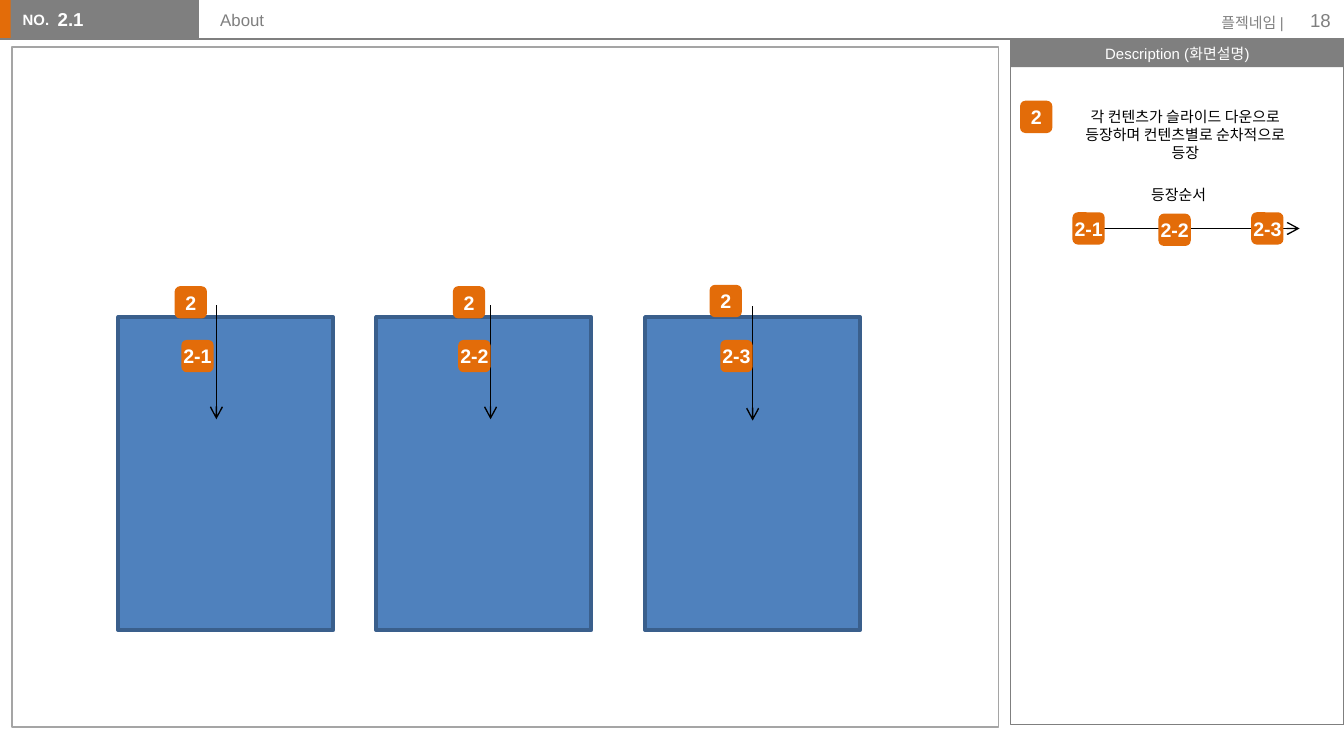
"""Build the storyboard slide for the About screen with its description panel."""
from lxml import etree
from pptx import Presentation
from pptx.dml.color import RGBColor
from pptx.enum.shapes import MSO_CONNECTOR as Connector, MSO_SHAPE as Shape
from pptx.enum.text import MSO_ANCHOR as Anchor, PP_ALIGN as Align
from pptx.oxml.ns import qn
from pptx.util import Inches, Pt

COLORS = {
    "orange": "E36C09", "gray": "7F7F7F", "frame": "A5A5A5", "card": "4F81BD",
    "card_edge": "3A5F8C", "white": "FFFFFF", "black": "000000",
}
FONT = "Arial"
SLIDE_WIDTH = 10
SLIDE_HEIGHT = SLIDE_WIDTH * 9 / 16
BADGE_SIZE = 0.24
CARD_TOP, CARD_WIDTH, CARD_HEIGHT = 2.36, 1.6, 2.33
ARROW_LENGTH = 0.85

HEADER_TEXTS = [
    ("NO.", (0.07, 0.03, 0.41, 0.24), 8, "white", True, Align.LEFT, Anchor.TOP, 0.1),
    ("플젝네임 |", (8.93, 0.05, 0.72, 0.24), 8, "gray", False, Align.RIGHT, Anchor.TOP, 0.1),
    ("18", (9.4, 0, 0.6, 0.3), 10, "gray", False, Align.RIGHT, Anchor.MIDDLE, 0.1),
    ("About", (1.54, 0.02, 5.61, 0.32), 9, "gray", False, Align.LEFT, Anchor.TOP, 0.1),
    ("2.1", (0.43, 0.01, 1.1, 0.31), 10, "white", True, Align.LEFT, Anchor.TOP, 0),
]
DESCRIPTION_TEXTS = [
    ("각 컨텐츠가 슬라이드 다운으로 등장하며 컨텐츠별로 순차적으로 등장", (7.88, 0.75, 1.88, 0.5)),
    ("등장순서", (7.83, 1.33, 1.88, 0.24)),
]
CARD_LEFTS = [0.88, 2.8, 4.8]
ARROW_STARTS = [(1.61, 2.27), (5.6, 2.28), (3.65, 2.27)]
BADGES = [
    ("2", 1.3, 2.13), ("2", 3.37, 2.13), ("2", 5.28, 2.12),
    ("2-1", 1.35, 2.53), ("2-2", 3.41, 2.53), ("2-3", 5.36, 2.53),
    ("2", 7.59, 0.75),
    ("2-1", 7.98, 1.58), ("2-2", 8.62, 1.59), ("2-3", 9.31, 1.58),
]


def rgb(name):
    return RGBColor.from_string(COLORS[name])


def write(shape, text, size, color, bold=False, align=Align.CENTER, anchor=Anchor.MIDDLE, inset=0.1):
    frame = shape.text_frame
    frame.word_wrap = True
    frame.vertical_anchor = anchor
    frame.margin_left = frame.margin_right = Inches(inset)
    frame.margin_top = frame.margin_bottom = Inches(0.05)
    paragraph = frame.paragraphs[0]
    paragraph.text = text
    paragraph.alignment = align
    font = paragraph.font
    font.name, font.size, font.bold = FONT, Pt(size), bold
    font.color.rgb = rgb(color)


def add_text(slide, text, box, *style):
    write(slide.shapes.add_textbox(*map(Inches, box)), text, *style)


def add_box(slide, box, fill=None, line=None, width=0.75, kind=Shape.RECTANGLE, opacity=100):
    shape = slide.shapes.add_shape(kind, *map(Inches, box))
    shape.shadow.inherit = False
    if fill:
        shape.fill.solid()
        shape.fill.fore_color.rgb = rgb(fill)
        if opacity < 100:
            color = shape._element.spPr.find(qn("a:solidFill"))[0]
            etree.SubElement(color, qn("a:alpha"), val=str(opacity * 1000))
    else:
        shape.fill.background()
    if line:
        shape.line.color.rgb = rgb(line)
        shape.line.width = Pt(width)
    else:
        shape.line.fill.background()
    return shape


def add_line(slide, start, end, color, arrow=False):
    connector = slide.shapes.add_connector(Connector.STRAIGHT, *map(Inches, start + end))
    connector.line.color.rgb = rgb(color)
    connector.line.width = Pt(0.75)
    properties = connector._element.spPr
    if arrow:
        etree.SubElement(properties.find(qn("a:ln")), qn("a:tailEnd"), type="arrow")
    etree.SubElement(properties, qn("a:effectLst"))


def add_badge(slide, text, left, top):
    badge = add_box(slide, (left, top, BADGE_SIZE, BADGE_SIZE), "orange", kind=Shape.ROUNDED_RECTANGLE)
    write(badge, text, 10.5, "white", True, inset=0)
    badge.text_frame.word_wrap = False


def main():
    presentation = Presentation()
    presentation.slide_width = Inches(SLIDE_WIDTH)
    presentation.slide_height = Inches(SLIDE_HEIGHT)
    slide = presentation.slides.add_slide(presentation.slide_layouts[6])

    add_box(slide, (-0.01, 0, 0.12, 0.29), "orange")
    add_box(slide, (0.08, 0, 1.4, 0.29), "gray")
    add_line(slide, (0, 0.29), (7.66, 0.29), "gray")
    panel_title = add_box(slide, (7.52, 0.29, 2.48, 0.21), "gray")
    write(panel_title, "Description (화면설명)", 8, "white")
    add_box(slide, (7.52, 0.29, 2.48, 5.1), line="gray")
    add_line(slide, (7.98, 1.7), (9.67, 1.7), "black", arrow=True)
    add_box(slide, (0.09, 0.35, 7.34, 5.06), "white", "frame", opacity=70)

    for header in HEADER_TEXTS:
        add_text(slide, *header)
    for left in CARD_LEFTS:
        add_box(slide, (left, CARD_TOP, CARD_WIDTH, CARD_HEIGHT), "card", "card_edge", 2)
    for x, y in ARROW_STARTS:
        add_line(slide, (x, y), (x, y + ARROW_LENGTH), "black", arrow=True)
    for badge in BADGES:
        add_badge(slide, *badge)
    for text, box in DESCRIPTION_TEXTS:
        add_text(slide, text, box, 8, "black", False, Align.CENTER, Anchor.TOP)

    presentation.save("out.pptx")


if __name__ == "__main__":
    main()
